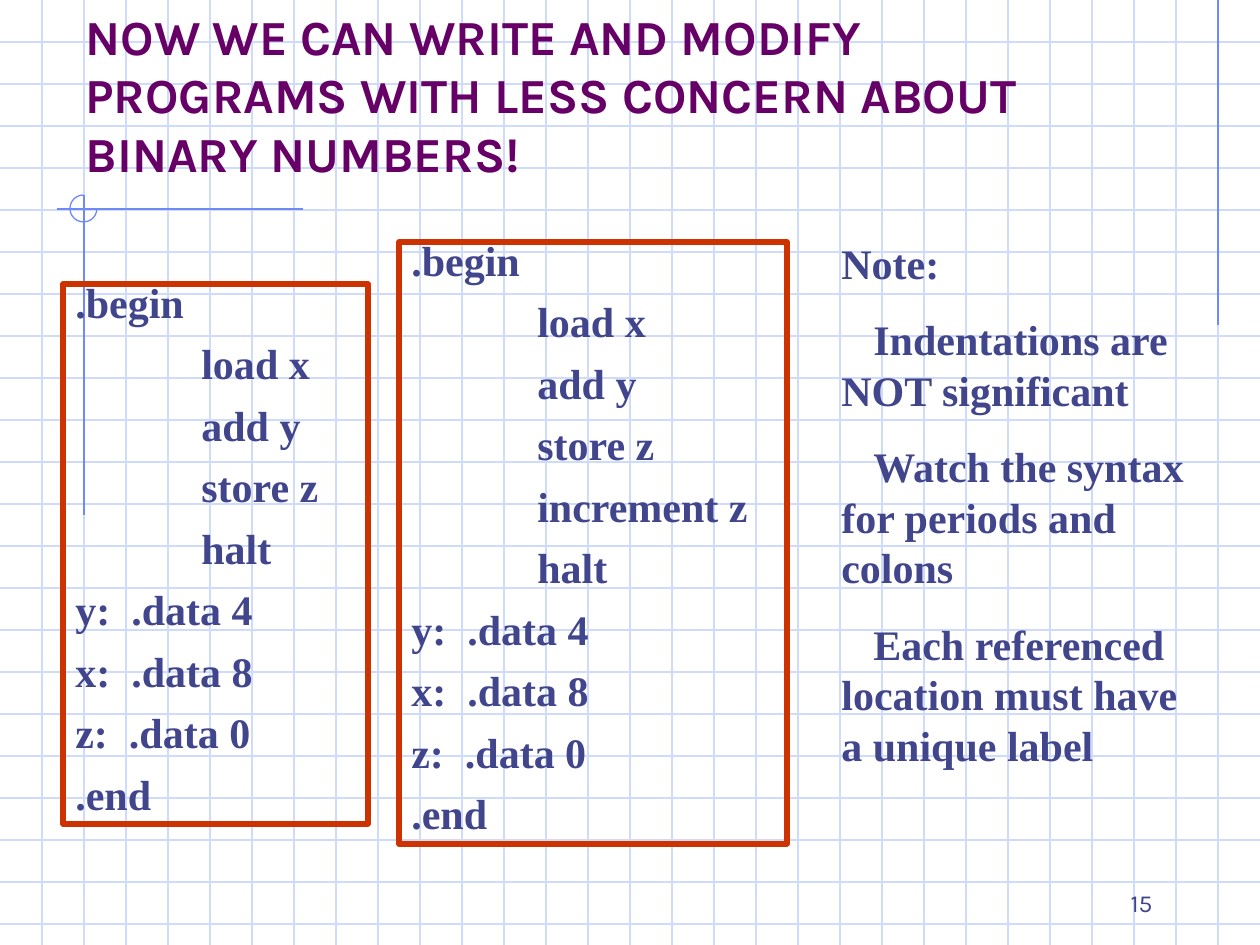
from pptx import Presentation
from pptx.dml.color import RGBColor
from pptx.enum.shapes import MSO_CONNECTOR, MSO_SHAPE
from pptx.enum.text import MSO_ANCHOR, MSO_AUTO_SIZE, PP_ALIGN
from pptx.oxml.ns import qn
from pptx.util import Pt
from lxml.etree import SubElement

PX = 914400 / 126
WIDTH, HEIGHT, GRID_STEP = 1260, 945, 42
GRID, ACCENT, INK, PLUM, RUST = "CFDBFD", "6F89F7", "40458C", "660066", "CC3300"


def px(*lengths):
    return [round(length * PX) for length in lengths]


def color(hex_string):
    return RGBColor.from_string(hex_string)


prs = Presentation()
prs.slide_width, prs.slide_height = px(WIDTH, HEIGHT)
slide = prs.slides.add_slide(prs.slide_layouts[5])
shapes = slide.shapes

rules = [(0, y, WIDTH, y, GRID) for y in range(GRID_STEP, HEIGHT, GRID_STEP)]
rules += [(x, 0, x, HEIGHT, GRID) for x in range(GRID_STEP, WIDTH, GRID_STEP)]
rules += [
    (1218, 0, 1218, 325, ACCENT),
    (303, 209, 57, 209, ACCENT),
    (84, 195, 84, 515, ACCENT),
]
for *ends, rule_color in rules:
    rule = shapes.add_connector(MSO_CONNECTOR.STRAIGHT, *px(*ends))
    rule.line.color.rgb = color(rule_color)
    rule.line.width = Pt(0.75)
    SubElement(rule._element.spPr, qn("a:effectLst"))

corner = shapes.add_shape(MSO_SHAPE.ARC, *px(70, 195, 27, 27))
corner.adjustments[0] = 0
corner.adjustments[1] = 162
corner.shadow.inherit = False
corner.fill.background()
corner.line.color.rgb = color(ACCENT)
corner.line.width = Pt(0.75)

title = shapes.title
title.left, title.top, title.width, title.height = px(73, 32, 1071, 157)
shapes._spTree.append(title._element)
title.text_frame.text = (
    "NOW WE CAN WRITE AND MODIFY PROGRAMS WITH LESS CONCERN ABOUT BINARY NUMBERS!"
)
title.text_frame.word_wrap = True
title.text_frame.auto_size = MSO_AUTO_SIZE.NONE
title.text_frame.vertical_anchor = MSO_ANCHOR.BOTTOM
heading = title.text_frame.paragraphs[0]
heading.alignment = PP_ALIGN.LEFT
heading.font.name = "Karla"
heading.font.size = Pt(28)
heading.font.bold = True
heading.font.color.rgb = color(PLUM)

opening = [".begin", "\tload x", "\tadd y", "\tstore z"]
closing = ["\thalt", "y:  .data 4", "x:  .data 8", "z:  .data 0", ".end"]
programs = [
    ((63, 284, 305, 540), opening + closing),
    ((399, 242, 388, 602), opening + ["\tincrement z"] + closing),
]
notes = [
    "Note:",
    "Indentations are NOT significant",
    "Watch the syntax for periods and colons",
    "Each referenced location must have a unique label",
]

columns = []
for place, code in programs:
    listing = shapes.add_shape(MSO_SHAPE.RECTANGLE, *px(*place))
    listing.shadow.inherit = False
    listing.fill.background()
    listing.line.color.rgb = color(RUST)
    listing.line.width = Pt(3)
    columns.append((listing, code, 0.7))
columns.append((shapes.add_textbox(*px(829, 231, 368, 546)), notes, 1.0))

for column, lines, spacing in columns:
    frame = column.text_frame
    frame.text = "\n".join(lines)
    frame.word_wrap = True
    frame.vertical_anchor = MSO_ANCHOR.TOP
    for index, paragraph in enumerate(frame.paragraphs):
        props = paragraph._p.get_or_add_pPr()
        paragraph.alignment = PP_ALIGN.LEFT
        paragraph.line_spacing = spacing
        paragraph.space_before = Pt(15 if index else 0)
        if lines is notes and index:
            props.set("marL", "0")
            props.set("indent", str(px(32)[0]))
        if "\t" in lines[index]:
            tabs = SubElement(props, qn("a:tabLst"))
            SubElement(tabs, qn("a:tab"), pos=str(px(126)[0]), algn="l")
        paragraph.font.name = "Times New Roman"
        paragraph.font.size = Pt(24)
        paragraph.font.bold = True
        paragraph.font.color.rgb = color(INK)

page_number = shapes.add_textbox(*px(903, 861, 262, 63))
page_number.text_frame.text = "15"
page_number.text_frame.word_wrap = True
page_number.text_frame.vertical_anchor = MSO_ANCHOR.BOTTOM
folio = page_number.text_frame.paragraphs[0]
folio.alignment = PP_ALIGN.RIGHT
folio.font.name = "Karla"
folio.font.size = Pt(14)
folio.font.color.rgb = color(INK)

prs.save("out.pptx")
